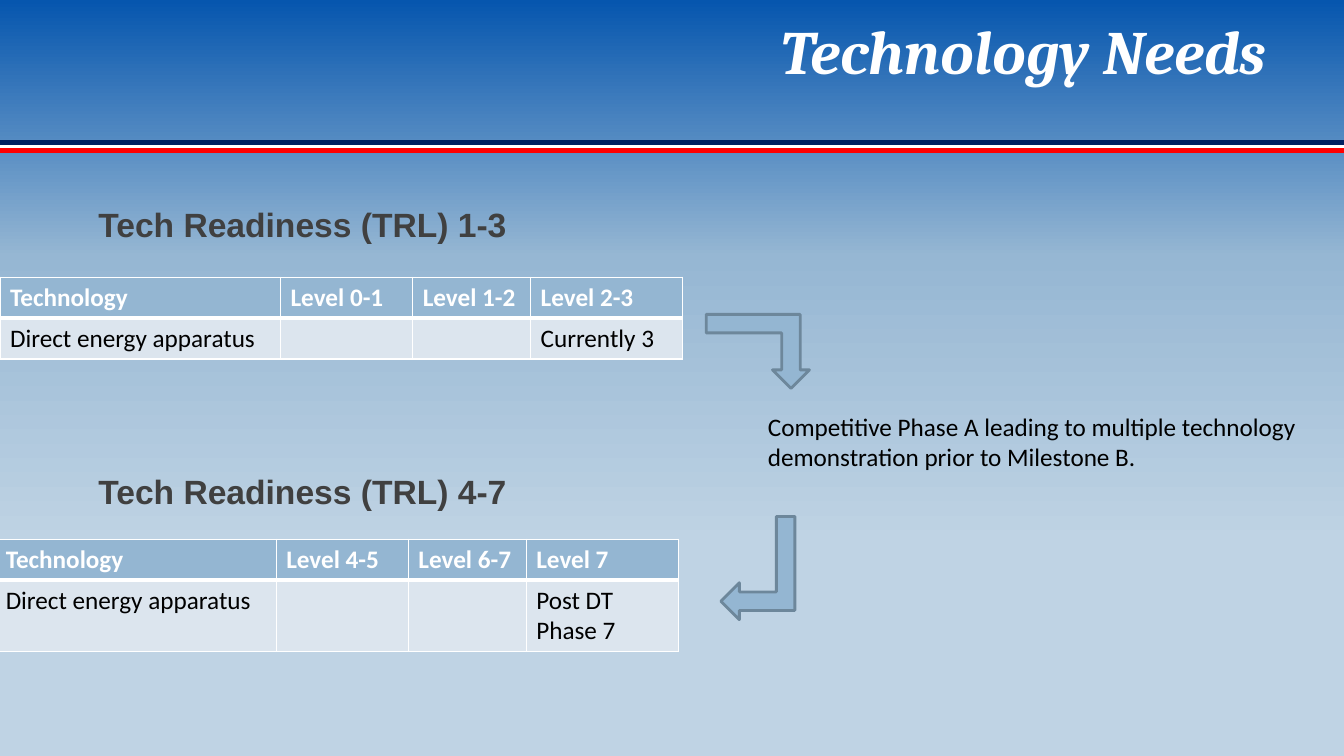
from copy import deepcopy

from lxml.etree import SubElement
from pptx import Presentation
from pptx.dml.color import RGBColor
from pptx.enum.shapes import MSO_CONNECTOR as Connector, MSO_SHAPE as Shape
from pptx.enum.text import MSO_ANCHOR as Anchor, PP_ALIGN as Align
from pptx.oxml.ns import qn
from pptx.util import Pt

COLORS = {
    "sky": "0656AE", "haze": "96B7D3", "pale": "BFD3E4",
    "navy": "002060", "white": "FFFFFF", "red": "FF0000",
    "black": "000000", "heading": "404040",
    "header": "94B6D2", "cell": "DCE5EE", "outline": "6D879B",
}


def color(name):
    return RGBColor.from_string(COLORS[name])


def write(frame, text, size=18, font="Calibri", ink="black", bold=False,
          italic=False, align=Align.LEFT, anchor=Anchor.TOP, spacing=None):
    frame.word_wrap = True
    frame.vertical_anchor = anchor
    for index, line in enumerate(text.split("\n")):
        para = frame.add_paragraph() if index else frame.paragraphs[0]
        para.alignment = align
        para.line_spacing = spacing
        span = para.add_run()
        span.text = line
        span.font.size = Pt(size)
        span.font.name = font
        span.font.bold = bold
        span.font.italic = italic
        span.font.color.rgb = color(ink)


deck = Presentation()
deck.slide_width, deck.slide_height = Pt(960), Pt(540)
page = deck.slides.add_slide(deck.slide_layouts[6])

# Background gradient, top to bottom
backdrop = page.background.fill
backdrop.gradient()
backdrop.gradient_angle = 270
stop_list = page.element.find(".//" + qn("a:gsLst"))
stop_list.append(deepcopy(stop_list[-1]))
shades = [("sky", 0), ("haze", 0.34), ("pale", 0.72)]
for stop, (name, position) in zip(backdrop.gradient_stops, shades):
    stop.color.rgb = color(name)
    stop.position = position

# Stripes under the title
for name, y, width in [("navy", 102, 3.5), ("white", 104.8, 2.5), ("red", 107.6, 3.5)]:
    stripe = page.shapes.add_connector(Connector.STRAIGHT, 0, Pt(y), Pt(960), Pt(y))
    stripe.line.color.rgb = color(name)
    stripe.line.width = Pt(width)
    SubElement(stripe.element.spPr, qn("a:effectLst"))

# Title
title = page.shapes.add_textbox(Pt(103.7), Pt(5.8), Pt(807.8), Pt(90))
write(title.text_frame, "Technology Needs", size=44, font="Cambria", ink="white",
      bold=True, italic=True, align=Align.RIGHT)

# Headings
for text, top in [("Tech Readiness (TRL) 1-3", 115.9), ("Tech Readiness (TRL) 4-7", 306.7)]:
    heading = page.shapes.add_textbox(Pt(40.3), Pt(top), Pt(351.4), Pt(62.6))
    write(heading.text_frame, text, size=24, font="Arial", ink="heading", bold=True,
          align=Align.CENTER, anchor=Anchor.BOTTOM, spacing=0.9)

# Readiness tables
column_widths = [200.4, 94.4, 84.2, 108.6]
tables = [
    (0, 198, [29.2, 29.2], [
        ["Technology", "Level 0-1", "Level 1-2", "Level 2-3"],
        ["Direct energy apparatus", "", "", "Currently 3"]]),
    (-3.1, 385.2, [29.2, 50.7], [
        ["Technology", "Level 4-5", "Level 6-7", "Level 7"],
        ["Direct energy apparatus", "", "", "Post DT\nPhase 7"]]),
]
for left, top, row_heights, rows in tables:
    grid = page.shapes.add_table(2, 4, Pt(left), Pt(top), Pt(sum(column_widths)),
                                 Pt(sum(row_heights))).table
    for column, width in zip(grid.columns, column_widths):
        column.width = Pt(width)
    for r, values in enumerate(rows):
        grid.rows[r].height = Pt(row_heights[r])
        is_header = r == 0
        for c, value in enumerate(values):
            cell = grid.cell(r, c)
            properties = cell._tc.get_or_add_tcPr()
            for side in ("L", "R", "T", "B"):
                at_divider = (side == "B") if is_header else (side == "T")
                edge = SubElement(properties, qn("a:ln" + side),
                                  w=str(Pt(3 if at_divider else 1)))
                paint = SubElement(edge, qn("a:solidFill"))
                SubElement(paint, qn("a:srgbClr"), val=COLORS["white"])
            cell.fill.solid()
            cell.fill.fore_color.rgb = color("header" if is_header else "cell")
            if value:
                write(cell.text_frame, value, ink="white" if is_header else "black",
                      bold=is_header)

# Note between the stages
note = page.shapes.add_textbox(Pt(541.4), Pt(290.2), Pt(418.3), Pt(50.9))
write(note.text_frame,
      "Competitive Phase A leading to multiple technology demonstration prior to Milestone B.")

# Bent arrows from stage to stage
for top, rotation in [(224.6, 0), (379.4, 90)]:
    arrow = page.shapes.add_shape(Shape.BENT_UP_ARROW, Pt(504.5), Pt(top), Pt(73.7), Pt(52.8))
    arrow.shadow.inherit = False
    arrow.rotation = rotation
    arrow.element.spPr.find(qn("a:xfrm")).set("flipV", "1")
    arrow.fill.solid()
    arrow.fill.fore_color.rgb = color("header")
    arrow.line.color.rgb = color("outline")
    arrow.line.width = Pt(2)

deck.save("out.pptx")
